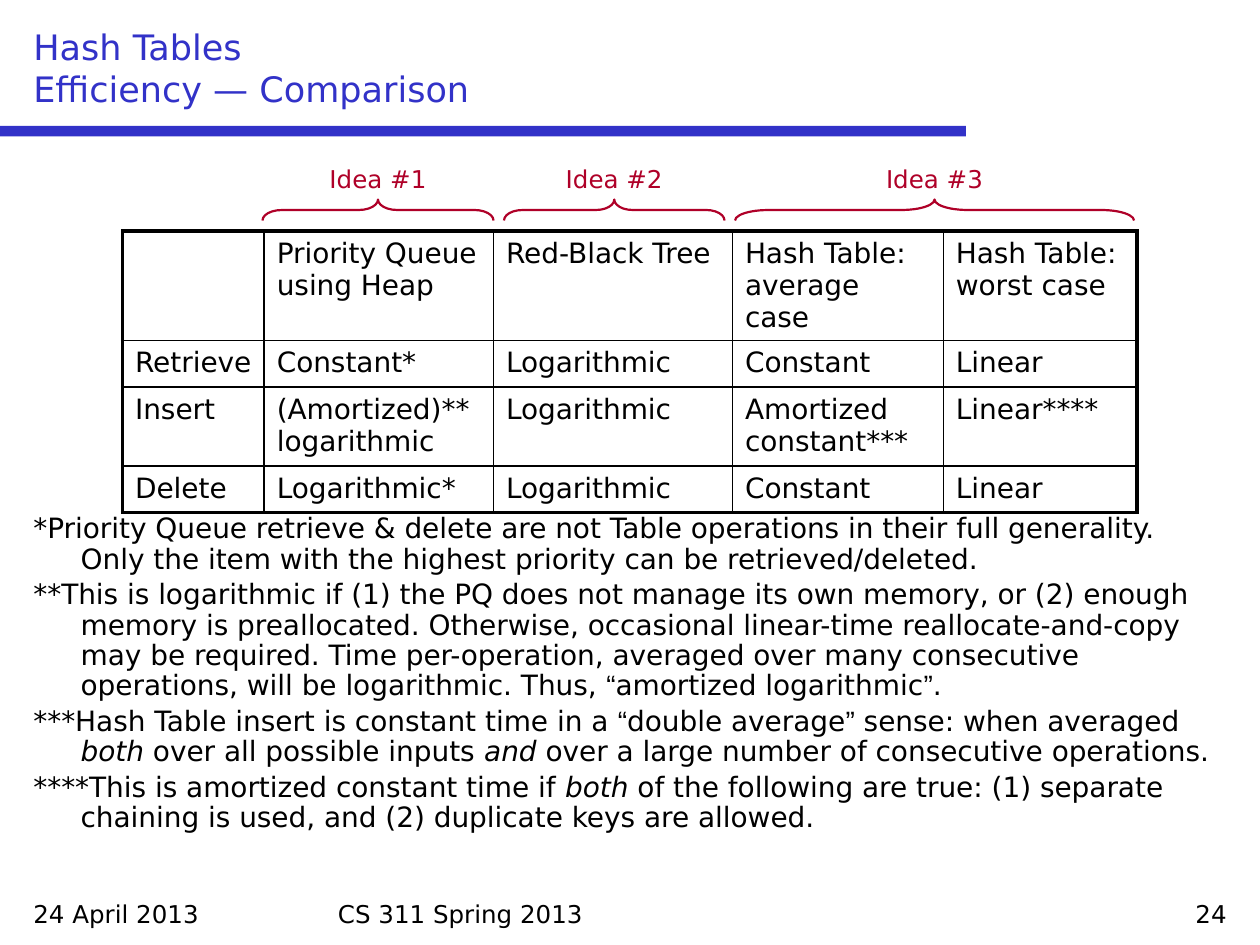
"""Build the slide comparing the efficiency of hash tables with other structures."""
from typing import NamedTuple

from lxml import etree
from pptx import Presentation
from pptx import util as u
from pptx.dml import color
from pptx.enum import shapes, text
from pptx.oxml import ns

Pt = u.Pt
INK = {"black": "000000", "blue": "3232C8", "red": "AF0028"}
FONT = "DejaVu Sans"
ALIGN = text.PP_ALIGN


class Label(NamedTuple):
    words: str
    left: float
    top: float
    width: float
    height: float
    size: float = 14
    ink: str = "black"
    align: ALIGN = ALIGN.LEFT
    anchor: text.MSO_ANCHOR = text.MSO_ANCHOR.TOP


class Idea(NamedTuple):
    words: str
    mid: float
    span: float
    width: float


LABELS = [
    Label("24 April 2013", 12, 510, 168, 24),
    Label("CS 311 Spring 2013", 186, 510, 348, 24),
    Label("24", 540, 510, 168, 24, align=ALIGN.RIGHT),
    Label("Hash Tables\vEfficiency — Comparison", 12, 12, 696, 54, 20, "blue",
          anchor=text.MSO_ANCHOR.BOTTOM),
]
IDEAS = [
    Idea("Idea #1", 216, 132, 120),
    Idea("Idea #2", 351, 126, 114),
    Idea("Idea #3", 534, 228, 120),
]
COLS = [81, 131, 136.6, 120.5, 110.8]
ROWS = [62.5, 26.7, 45.1, 26.7]
CELLS = [
    ["", "Priority Queue\vusing Heap", "Red-Black Tree",
     "Hash Table:\vaverage case", "Hash Table:\vworst case"],
    ["Retrieve", "Constant*", "Logarithmic", "Constant", "Linear"],
    ["Insert", "(Amortized)**\vlogarithmic", "Logarithmic",
     "Amortized\vconstant***", "Linear****"],
    ["Delete", "Logarithmic*", "Logarithmic", "Constant", "Linear"],
]
NOTES = [
    ["*Priority Queue retrieve & delete are not Table operations in their full "
     "generality. Only the item with the highest priority can be retrieved/deleted."],
    ["**This is logarithmic if (1) the PQ does not manage its own memory, or (2) "
     "enough memory is preallocated. Otherwise, occasional linear-time "
     "reallocate-and-copy may be required. Time per-operation, averaged over many "
     "consecutive operations, will be logarithmic. Thus, ",
     "“", "amortized logarithmic", "”", "."],
    ["***Hash Table insert is constant time in a ", "“", "double average", "”",
     " sense: when averaged ", "both", " over all possible inputs ", "and",
     " over a large number of consecutive operations."],
    ["****This is amortized constant time if ", "both",
     " of the following are true: (1) separate chaining is used, and (2) "
     "duplicate keys are allowed."],
]


def tint(ink: str) -> color.RGBColor:
    """Return the named colour."""
    return color.RGBColor.from_string(INK[ink])


def style(run, size: float, ink: str = "black", face: str = FONT) -> None:
    """Set the font of one run."""
    run.font.size, run.font.name = Pt(size), face
    run.font.color.rgb = tint(ink)


def add_box(slide, left: float, top: float, width: float, height: float):
    """Add a wrapping text box and return its frame."""
    frame = slide.shapes.add_textbox(Pt(left), Pt(top), Pt(width), Pt(height)).text_frame
    frame.word_wrap = True
    return frame


def add_label(slide, label: Label) -> None:
    """Draw one label in a single style."""
    frame = add_box(slide, label.left, label.top, label.width, label.height)
    frame.text = label.words
    frame.vertical_anchor = label.anchor
    line = frame.paragraphs[0]
    line.alignment = label.align
    for run in line.runs:
        style(run, label.size, label.ink)


def add_bar(slide) -> None:
    """Draw the bar under the title."""
    bar = slide.shapes.add_shape(shapes.MSO_SHAPE.RECTANGLE, 0, Pt(72), Pt(552), Pt(6))
    bar.shadow.inherit = False
    bar.fill.solid()
    bar.fill.fore_color.rgb = tint("blue")
    bar.line.fill.background()


def add_idea(slide, idea: Idea) -> None:
    """Draw a brace over its columns, with the label above it."""
    thick, mid = 12, 120
    brace = slide.shapes.add_shape(
        shapes.MSO_SHAPE.LEFT_BRACE, Pt(idea.mid - thick / 2),
        Pt(mid - idea.span / 2), Pt(thick), Pt(idea.span))
    brace.rotation = 90
    brace.adjustments[0] = idea.span / thick ** 2
    brace.shadow.inherit = False
    brace.fill.background()
    brace.line.color.rgb = tint("red")
    brace.line.width = Pt(1.25)
    add_label(slide, Label(idea.words, idea.mid - idea.width / 2, 90, idea.width,
                           24.5, ink="red", align=ALIGN.CENTER))


def add_edge(cell, side: str, width: float) -> None:
    """Draw one border of a cell."""
    edge = etree.SubElement(cell._tc.get_or_add_tcPr(), ns.qn("a:ln" + side),
                            w=str(Pt(width)))
    fill = etree.SubElement(edge, ns.qn("a:solidFill"))
    etree.SubElement(fill, ns.qn("a:srgbClr"), val=INK["black"])


def add_grid(slide) -> None:
    """Draw the comparison table with a heavy outer frame."""
    table = slide.shapes.add_table(len(ROWS), len(COLS), Pt(70), Pt(132),
                                   Pt(sum(COLS)), Pt(sum(ROWS))).table
    table.first_row = table.horz_banding = False
    for col, width in zip(table.columns, COLS):
        col.width = Pt(width)
    for row, height in zip(table.rows, ROWS):
        row.height = Pt(height)
    for y, words in enumerate(CELLS):
        for x, word in enumerate(words):
            cell = table.cell(y, x)
            cell.text_frame.text = word
            cell.margin_bottom = 0
            line = cell.text_frame.paragraphs[0]
            line.font.size = Pt(16)
            for run in line.runs:
                style(run, 16)
            outer = {"L": x == 0, "R": x == len(COLS) - 1,
                     "T": y == 0, "B": y == len(ROWS) - 1}
            for side, heavy in outer.items():
                add_edge(cell, side, 2.25 if heavy else 1)
            cell.fill.background()


def add_notes(slide) -> None:
    """Write the footnotes with hanging indents below the table."""
    frame = add_box(slide, 12, 84, 696, 420)
    frame.margin_top = Pt(210.2)
    for rank, parts in enumerate(NOTES):
        line = frame.add_paragraph() if rank else frame.paragraphs[0]
        line.line_spacing = 0.9
        line.space_before = Pt(3.2 if rank else 0)
        props = line._p.get_or_add_pPr()
        props.set("marL", str(Pt(27)))
        props.set("indent", str(Pt(-27)))
        for part in parts:
            run = line.add_run()
            run.text = part
            style(run, 16, face="Arial" if part in "“”" else FONT)
            run.font.italic = part in ("both", "and")


def main() -> None:
    """Build and save the slide."""
    deck = Presentation()
    deck.slide_width, deck.slide_height = Pt(720), Pt(540)
    slide = deck.slides.add_slide(deck.slide_layouts[6])
    add_bar(slide)
    for label in LABELS:
        add_label(slide, label)
    add_notes(slide)
    add_grid(slide)
    for idea in IDEAS:
        add_idea(slide, idea)
    deck.save("out.pptx")


main()
